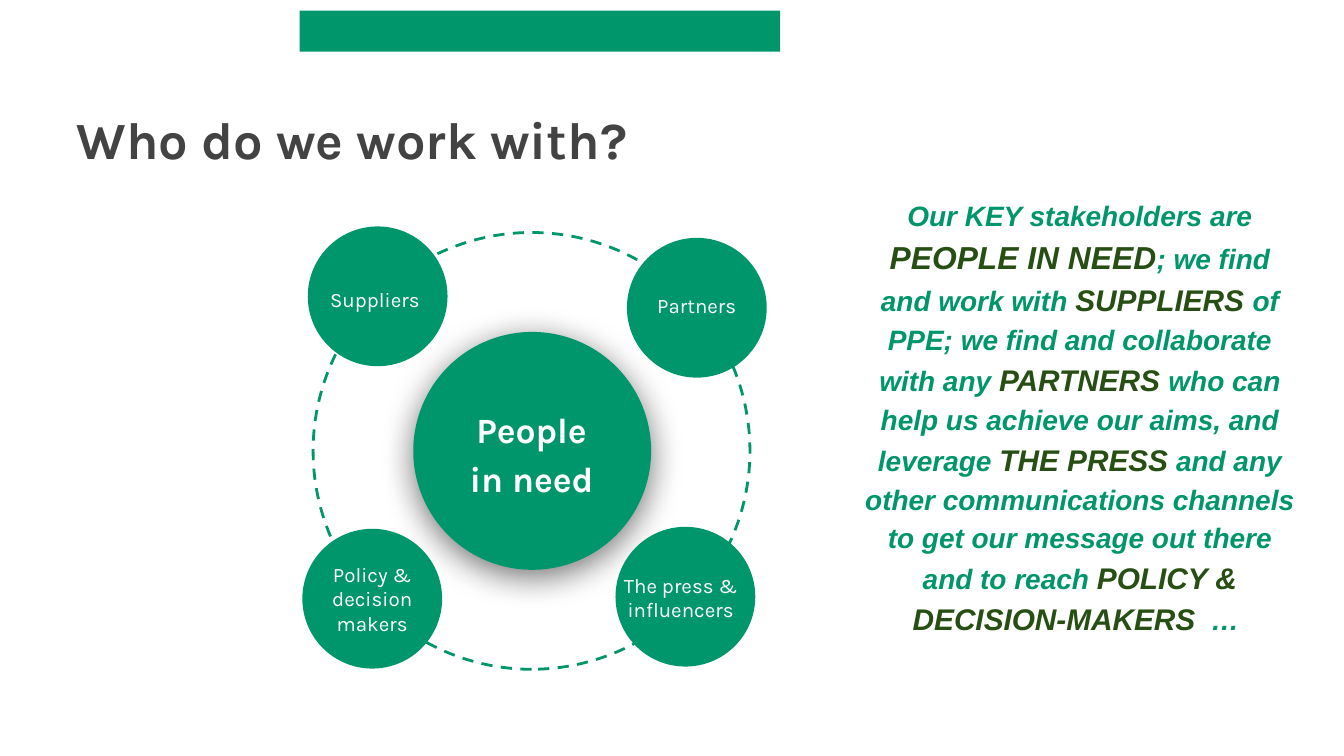
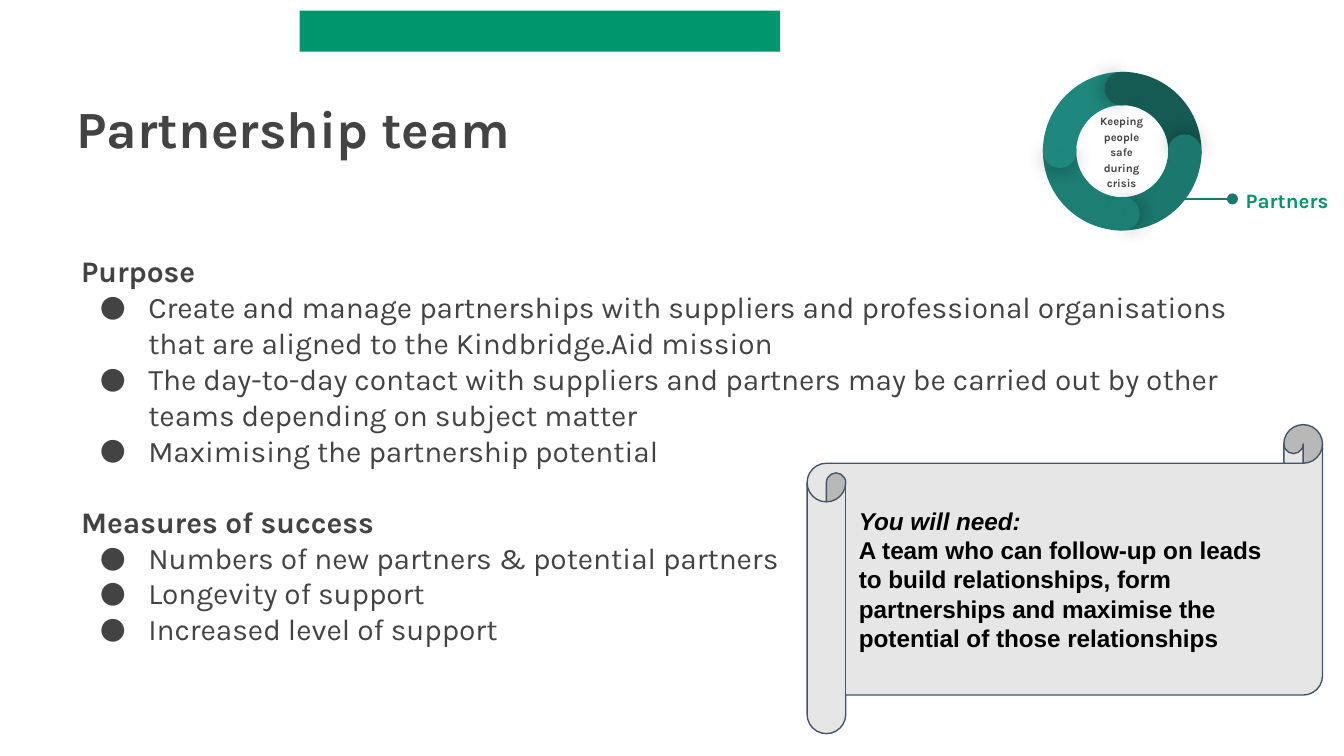
from lxml.etree import SubElement
from pptx import Presentation
from pptx.dml.color import RGBColor
from pptx.enum.dml import MSO_LINE
from pptx.enum.shapes import MSO_CONNECTOR, MSO_SHAPE
from pptx.enum.text import MSO_ANCHOR, PP_ALIGN
from pptx.oxml.ns import qn
from pptx.util import Pt

PX = 4572
GREEN = RGBColor(0x00, 0x96, 0x6B)
LEAF = RGBColor(0x27, 0x4E, 0x13)
GRAY = RGBColor(0x43, 0x43, 0x43)
WHITE = RGBColor(0xFF, 0xFF, 0xFF)
BLACK = RGBColor(0x00, 0x00, 0x00)
PAPER = RGBColor(0xE7, 0xE6, 0xE6)
SLATE = RGBColor(0x44, 0x54, 0x6A)
TEAL = RGBColor(0x1B, 0x78, 0x6E)
JADE = RGBColor(0x1D, 0x7E, 0x74)
MINT = RGBColor(0x1F, 0x88, 0x7E)
PINE = RGBColor(0x15, 0x5B, 0x54)
KARLA, ARIAL = "Karla", "Arial"

NODES = [
    (458, 337, "Suppliers", 428, 408),
    (916, 784, "The press & influencers", 883, 832),
    (933, 354, "Partners", 907, 418),
    (450, 787, "Policy & decision makers", 424, 816),
]
STORY = [
    ("Our KEY stakeholders are ", 15, GREEN),
    ("PEOPLE IN NEED", 17, LEAF),
    ("; we find and work with ", 15, GREEN),
    ("SUPPLIERS ", 16, LEAF),
    ("of PPE; we find and collaborate with any ", 15, GREEN),
    ("PARTNERS ", 16, LEAF),
    ("who can help us achieve our aims, and leverage ", 15, GREEN),
    ("THE PRESS", 16, LEAF),
    (" and any other communications channels to get our message out there and to reach ", 15, GREEN),
    ("POLICY & DECISION-MAKERS", 16, LEAF),
    ("  … ", 15, GREEN),
]
GOALS = [
    ("Purpose", [
        "Create and manage partnerships with suppliers and professional organisations "
        "that are aligned to the Kindbridge.Aid mission",
        "The day-to-day contact with suppliers and partners may be carried out by other "
        "teams depending on subject matter",
        "Maximising the partnership potential",
    ]),
    ("Measures of success", [
        "Numbers of new partners & potential partners",
        "Longevity of support",
        "Increased level of support",
    ]),
]
PARTS = [
    (1738, 200, 90, TEAL),
    (1646, 293, 180, JADE),
    (1552, 200, 270, MINT),
    (1644, 107, 0, PINE),
]


def scale(*sizes):
    return [size * PX for size in sizes]


def style(para, size, color, name=KARLA, bold=False, slant=False):
    font = para.font
    font.name, font.bold, font.italic = name, bold, slant
    font.size = Pt(size)
    font.color.rgb = color


def frame(shape, anchor):
    text = shape.text_frame
    text.word_wrap = True
    text.vertical_anchor = anchor
    text.margin_left = text.margin_right = 20 * PX
    text.margin_top = text.margin_bottom = 20 * PX
    return text


def write(shape, words, size, color, anchor=MSO_ANCHOR.MIDDLE,
          align=PP_ALIGN.LEFT, space=1.0, bold=False):
    para = frame(shape, anchor).paragraphs[0]
    para.text = words
    para.alignment = align
    para.line_spacing = space
    style(para, size, color, bold=bold)


def box(slide, *place):
    return slide.shapes.add_textbox(*scale(*place))


def draw(shapes, kind, place, fill=None, line=None, width=0.75, turn=0, bends=()):
    shape = shapes.add_shape(kind, *scale(*place))
    shape.shadow.inherit = False
    shape.rotation = turn
    for index, bend in enumerate(bends):
        shape.adjustments[index] = bend
    if fill is None:
        shape.fill.background()
    else:
        shape.fill.solid()
        shape.fill.fore_color.rgb = fill
    if line is None:
        shape.line.fill.background()
    else:
        shape.line.color.rgb = line
        shape.line.width = Pt(width)
    return shape


def shade(shape, alpha, blur, drop, angle):
    effect = shape.element.spPr.find(qn("a:effectLst"))
    outer = SubElement(effect, qn("a:outerShdw"), blurRad=str(Pt(blur)),
                       dist=str(Pt(drop)), dir=str(angle * 60000),
                       algn="ctr", rotWithShape="0")
    color = SubElement(outer, qn("a:srgbClr"), val=str(BLACK))
    SubElement(color, qn("a:alpha"), val=str(alpha * 1000))


def start(deck, words, top):
    slide = deck.slides.add_slide(deck.slide_layouts[5])
    draw(slide.shapes, MSO_SHAPE.RECTANGLE, (446, 16, 715, 61), GREEN)
    title = slide.shapes.title
    title.left, title.top, title.width, title.height = scale(94, top, 1658, 152)
    write(title, words, 28, GRAY, MSO_ANCHOR.TOP, space=0.9, bold=True)
    return slide


def wheel(slide):
    orbit = draw(slide.shapes, MSO_SHAPE.OVAL, (466, 346, 650, 650),
                 line=GREEN, width=1.5, turn=270)
    orbit.line.dash_style = MSO_LINE.DASH
    hub = draw(slide.shapes, MSO_SHAPE.OVAL, (615, 494, 354, 354), GREEN)
    shade(hub, 55, 18, 4, 90)
    write(box(slide, 660, 591, 262, 160), "People in need", 19, WHITE,
          align=PP_ALIGN.CENTER, space=1.15, bold=True)
    for x, y, words, left, top in NODES:
        draw(slide.shapes, MSO_SHAPE.OVAL, (x, y, 208, 208), GREEN)
        write(box(slide, left, top, 260, 84), words, 11, WHITE,
              MSO_ANCHOR.TOP, PP_ALIGN.CENTER)


def tell(slide):
    para = frame(box(slide, 1266, 205, 682, 826), MSO_ANCHOR.MIDDLE).paragraphs[0]
    para.alignment = PP_ALIGN.CENTER
    para.line_spacing = 1.15
    style(para, 15, GREEN, ARIAL, True, True)
    for words, size, color in STORY:
        run = para.add_run()
        run.text = words
        run.font.size = Pt(size)
        run.font.color.rgb = color


def ring(slide):
    shapes = slide.shapes.add_group_shape().shapes
    for x, y, turn, color in PARTS:
        draw(shapes, MSO_SHAPE.BLOCK_ARC, (1552, 107, 236, 236), color,
             turn=(turn + 60) % 360, bends=(126.23, 181.77, 0.21))
    for x, y, turn, color in PARTS:
        place = (x, y, 50, 50)
        cap = draw(shapes, MSO_SHAPE.PIE, place, color,
                   turn=turn + 0.7, bends=(61.9, 149.96))
        shade(cap, 43, 11.2, 0, 0)
        draw(shapes, MSO_SHAPE.PIE, place, color,
             turn=(turn + 180) % 360, bends=(40.28, 171.84))
    write(box(slide, 1607, 191, 124, 68), "Keeping people safe during crisis", 6, GRAY,
          align=PP_ALIGN.CENTER, space=1.15, bold=True)


def point(slide):
    label = box(slide, 1834, 243, 182, 110)
    write(label, "Partners", 11, GREEN, bold=True)
    link = slide.shapes.add_connector(MSO_CONNECTOR.STRAIGHT, *scale(1724, 296, 1834, 296))
    link.line.color.rgb = TEAL
    link.line.width = Pt(0.75)
    SubElement(link.line._get_or_add_ln(), qn("a:tailEnd"), type="oval")
    SubElement(link.element.spPr, qn("a:effectLst"))


def dot(para):
    props = para._p.get_or_add_pPr()
    props.set("marL", str(100 * PX))
    props.set("indent", str(-72 * PX))
    color = SubElement(props, qn("a:buClr"))
    SubElement(color, qn("a:srgbClr"), val=str(GRAY))
    SubElement(props, qn("a:buSzPts"), val="1600")
    SubElement(props, qn("a:buFont"), typeface=KARLA)
    SubElement(props, qn("a:buChar"), char="●")


def goals(slide):
    text = frame(box(slide, 101, 262, 1798, 815), MSO_ANCHOR.MIDDLE)
    for index, (head, items) in enumerate(GOALS):
        para = text.add_paragraph() if index else text.paragraphs[0]
        para.text = head
        if index:
            para.space_before = Pt(19)
        style(para, 16, GRAY, bold=True)
        for item in items:
            para = text.add_paragraph()
            para.text = item
            dot(para)
            style(para, 16, GRAY)


def scroll(slide):
    shape = draw(slide.shapes, MSO_SHAPE.HORIZONTAL_SCROLL, (1201, 632, 767, 460),
                 PAPER, SLATE, bends=(0.125,))
    text = frame(shape, MSO_ANCHOR.MIDDLE)
    text.text = ("You will need:\nA team who can follow-up on leads to build relationships, "
                 "form partnerships and maximise the potential of those relationships")
    for index, para in enumerate(text.paragraphs):
        para.alignment = PP_ALIGN.LEFT
        style(para, 13, BLACK, ARIAL, True, index == 0)


def main():
    deck = Presentation()
    deck.slide_width, deck.slide_height = scale(2000, 1125)
    slide = start(deck, "Who do we work with?", 150)
    wheel(slide)
    tell(slide)
    slide = start(deck, "Partnership team", 134)
    ring(slide)
    point(slide)
    goals(slide)
    scroll(slide)
    deck.save("out.pptx")


if __name__ == "__main__":
    main()
